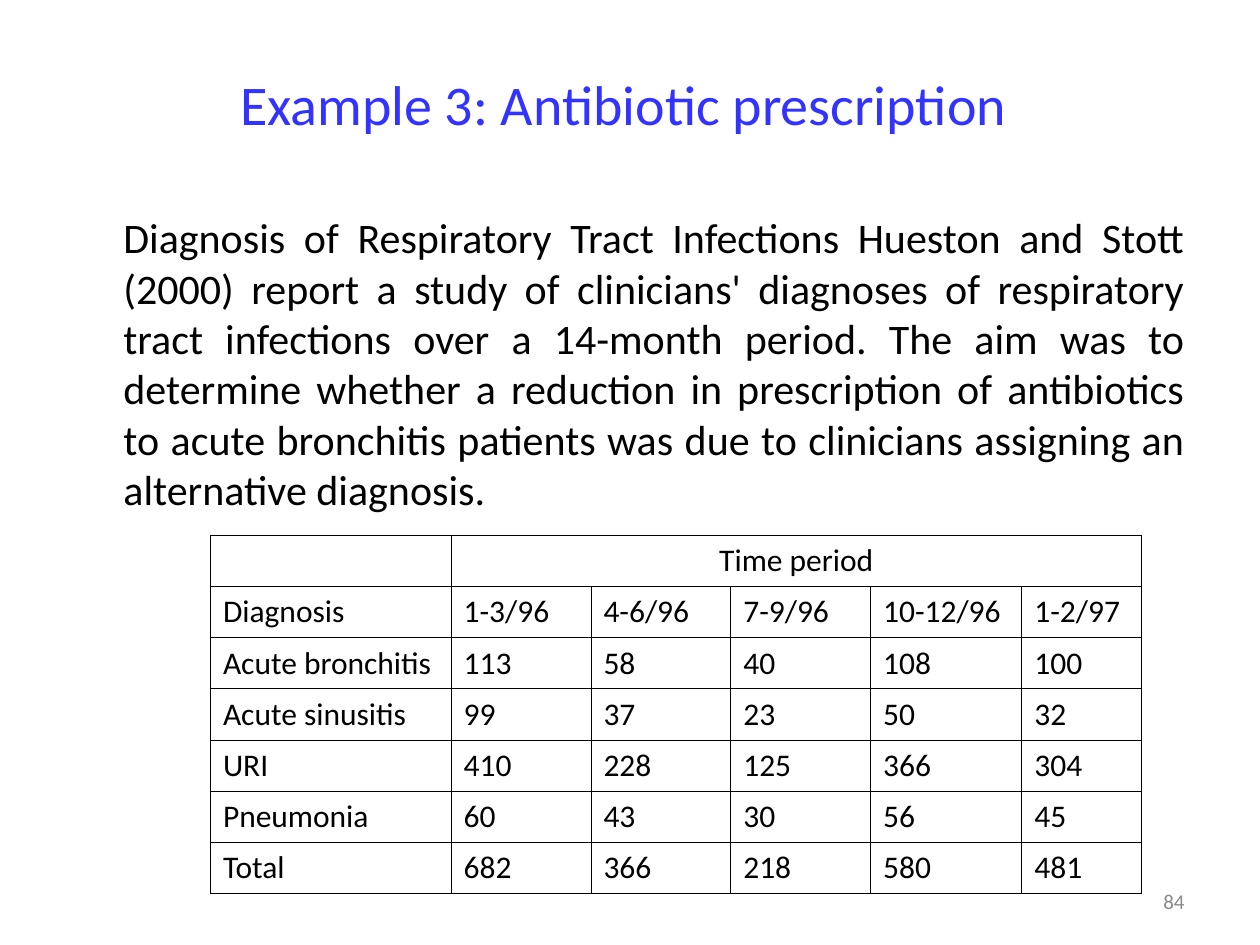
from dataclasses import dataclass

from lxml import etree
from pptx import Presentation
from pptx.dml.color import RGBColor
from pptx.enum.text import MSO_ANCHOR, PP_ALIGN
from pptx.oxml.ns import qn
from pptx.util import Inches, Pt

LEFT, CENTER, RIGHT, JUSTIFY = (
    PP_ALIGN.LEFT, PP_ALIGN.CENTER, PP_ALIGN.RIGHT, PP_ALIGN.JUSTIFY)
TOP, MIDDLE = MSO_ANCHOR.TOP, MSO_ANCHOR.MIDDLE
FONT = "Calibri"
BLACK, BLUE, GRAY = "000000", "3333FF", "898989"


@dataclass
class TextBox:
    text: str
    left: float
    top: float
    width: float
    height: float
    size: int
    color: str
    align: PP_ALIGN
    anchor: MSO_ANCHOR = MIDDLE
    margin_left: float = 0.1
    margin_top: float = 0.05


TEXT_BOXES = [
    TextBox("Example 3: Antibiotic prescription ",
            0.5, 0.3, 9, 1.03, 32, BLUE, CENTER),
    TextBox("Diagnosis of Respiratory Tract Infections Hueston and Stott "
            "(2000) report a study of clinicians' diagnoses of respiratory "
            "tract infections over a 14-month period. The aim was to "
            "determine whether a reduction in prescription of antibiotics "
            "to acute bronchitis patients was due to clinicians assigning an "
            "alternative diagnosis.",
            0.5, 1.5, 9, 2.75, 24, BLACK, JUSTIFY, TOP, 0.48, 0.18),
    TextBox("84", 7.17, 6.95, 2.33, 0.4, 12, GRAY, RIGHT),
]

COLUMN_WIDTHS = [1.91, 1.11, 1.11, 1.11, 1.2, 0.95]
DIAGNOSES = [
    ["Diagnosis", "1-3/96", "4-6/96", "7-9/96", "10-12/96", "1-2/97"],
    ["Acute bronchitis", "113", "58", "40", "108", "100"],
    ["Acute sinusitis", "99", "37", "23", "50", "32"],
    ["URI", "410", "228", "125", "366", "304"],
    ["Pneumonia", "60", "43", "30", "56", "45"],
    ["Total", "682", "366", "218", "580", "481"],
]


def rgb(color: str) -> RGBColor:
    return RGBColor.from_string(color)


def write(p, text: str, size: int, color: str, align: PP_ALIGN) -> None:
    p.text = text
    p.alignment = align
    p.font.name = FONT
    p.font.size = Pt(size)
    p.font.color.rgb = rgb(color)


def add_text(slide, box: TextBox) -> None:
    sp = slide.shapes.add_textbox(Inches(box.left), Inches(box.top),
                                  Inches(box.width), Inches(box.height))
    tf = sp.text_frame
    tf.word_wrap = True
    tf.vertical_anchor = box.anchor
    tf.margin_left = Inches(box.margin_left)
    tf.margin_top = Inches(box.margin_top)
    write(tf.paragraphs[0], box.text, box.size, box.color, box.align)


def add_borders(cell, color: str, width: float) -> None:
    """Line all four sides; borders must precede the fill in tcPr."""
    tc_pr = cell._tc.get_or_add_tcPr()
    for i, side in enumerate(("a:lnL", "a:lnR", "a:lnT", "a:lnB")):
        ln = etree.Element(qn(side), w=str(Pt(width)))
        fill = etree.SubElement(ln, qn("a:solidFill"))
        etree.SubElement(fill, qn("a:srgbClr"), val=color)
        tc_pr.insert(i, ln)


def add_diagnosis_table(slide) -> None:
    rows = [["", "Time period"]] + DIAGNOSES
    table = slide.shapes.add_table(
        len(rows), len(COLUMN_WIDTHS), Inches(1.67), Inches(4.25),
        Inches(sum(COLUMN_WIDTHS)), Inches(2.84)).table
    table.first_row = False
    table.horz_banding = False
    for column, width in zip(table.columns, COLUMN_WIDTHS):
        column.width = Inches(width)
    table.cell(0, 1).merge(table.cell(0, len(COLUMN_WIDTHS) - 1))
    for i, row in enumerate(rows):
        for j, text in enumerate(row):
            write(table.cell(i, j).text_frame.paragraphs[0], text, 18, BLACK,
                  CENTER if i == 0 else LEFT)
    for cell in table.iter_cells():
        cell.fill.background()
        add_borders(cell, BLACK, 0.45)


def main() -> None:
    prs = Presentation()
    prs.slide_width, prs.slide_height = Inches(10), Inches(7.5)
    slide = prs.slides.add_slide(prs.slide_layouts[6])
    for box in TEXT_BOXES:
        add_text(slide, box)
    add_diagnosis_table(slide)
    prs.save("out.pptx")


if __name__ == "__main__":
    main()
